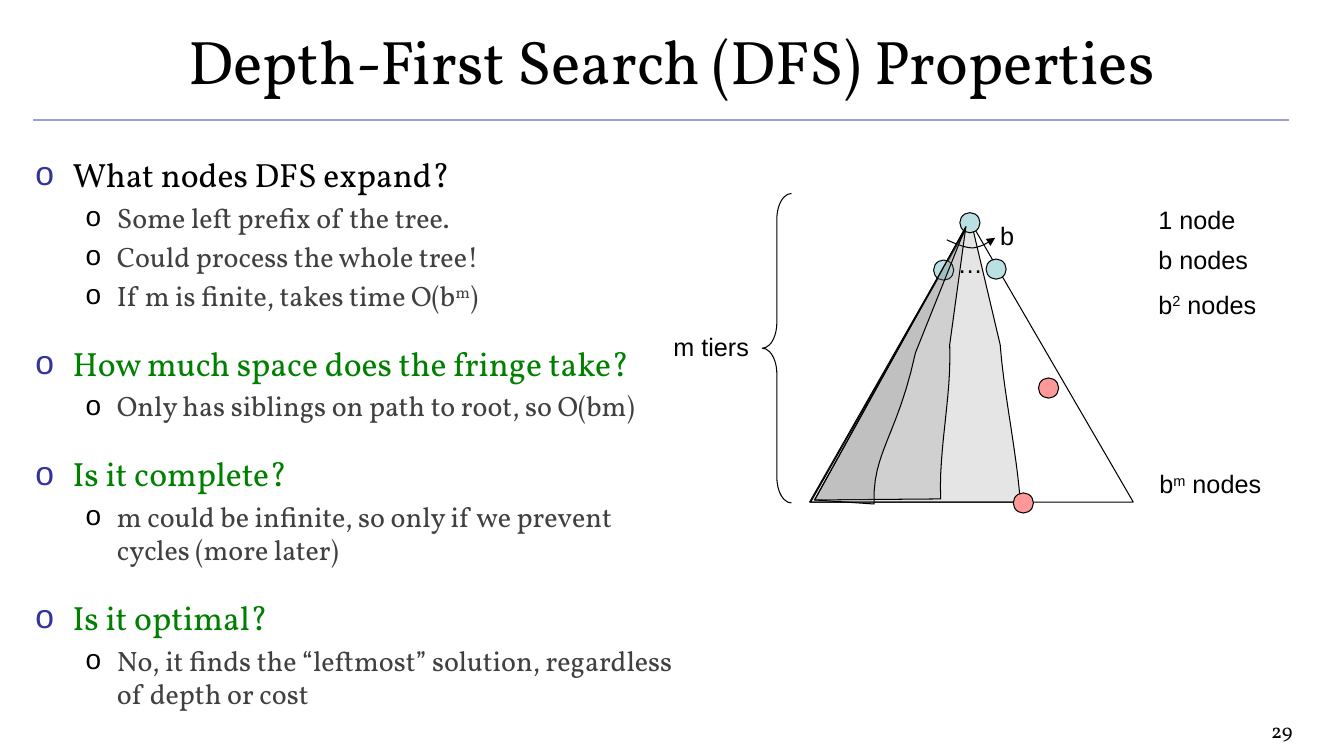
from pptx import Presentation
from pptx.dml.color import RGBColor
from pptx.enum.shapes import MSO_CONNECTOR as LINK, MSO_SHAPE as SHAPE
from pptx.enum.text import MSO_ANCHOR as ANCHOR, PP_ALIGN as ALIGN
from pptx.oxml.ns import qn
from pptx.util import Pt
from lxml.etree import SubElement as Sub

PX = 9144  # one hundredth of an inch
BLACK = RGBColor(0x00, 0x00, 0x00)
DARK = RGBColor(0x40, 0x40, 0x40)
GRAY = RGBColor(0x80, 0x80, 0x80)
GREEN = RGBColor(0x00, 0x80, 0x00)
NAVY = RGBColor(0x33, 0x33, 0x99)
LILAC = RGBColor(0x9C, 0x9C, 0xDF)
AQUA = RGBColor(0xBB, 0xE0, 0xE3)
PINK = RGBColor(0xFF, 0x99, 0x99)
SERIF, SANS = "Vollkorn", "Arial"

deck = Presentation()
deck.slide_width, deck.slide_height = 1333 * PX, 750 * PX
slide = deck.slides.add_slide(deck.slide_layouts[6])
shapes = slide.shapes


def write(para, text, size, face, color):
    """Fill a paragraph; text between ^ marks is superscript."""
    for i, part in enumerate(text.split("^")):
        run = para.add_run()
        run.text = part
        run.font.size, run.font.name = Pt(size), face
        run.font.color.rgb = color
        if i % 2:
            run._r.get_or_add_rPr().set("baseline", "30000")


def draw(start, steps, shade=False, close=True):
    """Draw an outline; a step of 2 numbers is a line, of 6 a Bézier curve."""
    dots = [start]
    for step in steps:
        if len(step) == 2:
            dots.append(step)
            continue
        ends = [dots[-1], step[:2], step[2:4], step[4:]]
        for n in range(1, 13):
            t = n / 12
            mix = ((1 - t) ** 3, 3 * t * (1 - t) ** 2, 3 * t * t * (1 - t), t ** 3)
            dots.append(tuple(sum(m * p[k] for m, p in zip(mix, ends)) for k in (0, 1)))
    dots = [(round(x * PX), round(y * PX)) for x, y in dots]
    pen = shapes.build_freeform(*dots[0], scale=1.0)
    pen.add_line_segments(dots[1:], close=close)
    form = pen.convert_to_shape()
    form.shadow.inherit = False
    form.line.color.rgb, form.line.width = BLACK, Pt(0.75)
    if shade:
        form.fill.solid()
        form.fill.fore_color.rgb = GRAY
        tint = form._element.spPr.find(qn("a:solidFill"))[0]
        Sub(tint, qn("a:alpha")).set("val", "20000")
    else:
        form.fill.background()
    return form


# Title rule
rule = shapes.add_connector(LINK.STRAIGHT, 33 * PX, 119 * PX, 1278 * PX, 119 * PX)
rule.line.color.rgb, rule.line.width = LILAC, Pt(1)
Sub(rule._element.spPr, qn("a:effectLst"))

# Search tree
draw((804, 498), [(1012, 498), (1008, 446, 996, 393, 992, 342), (963, 219)], shade=True)
draw((803, 498), [(1124, 498), (962, 219)])
nodes = [(952, 211, AQUA), (926, 258, AQUA), (978, 257, AQUA),
         (1005, 489, PINK), (1030, 375, PINK)]
for x, y, color in nodes:
    node = shapes.add_shape(SHAPE.OVAL, x * PX, y * PX, 20 * PX, 20 * PX)
    node.shadow.inherit = False
    node.fill.solid()
    node.fill.fore_color.rgb = color
    node.line.color.rgb, node.line.width = BLACK, Pt(0.75)
arc = draw((939, 238), [(948, 242, 957, 246, 965, 246), (973, 245, 980, 241, 987, 236)],
           close=False)
Sub(arc.line._get_or_add_ln(), qn("a:tailEnd")).set("type", "triangle")
draw((808, 496), [(933, 495), (931, 444, 944, 393, 942, 342), (958, 225)], shade=True)
draw((808, 496), [(867, 500), (865, 449, 890, 433, 908, 350), (958, 225)], shade=True)

brace = shapes.add_shape(SHAPE.LEFT_BRACE, 756 * PX, 192 * PX, 29 * PX, 307 * PX)
brace.shadow.inherit = False
brace.adjustments[0], brace.adjustments[1] = 0.88, 0.5
brace.fill.background()
brace.line.color.rgb, brace.line.width = BLACK, Pt(0.75)

# Title, labels and page number
labels = [
    (0, -3, 1333, 125, "Depth-First Search (DFS) Properties", 44, SERIF, ALIGN.CENTER),
    (940, 241, 30, 40, "…", 18, SANS, ALIGN.LEFT),
    (982, 214, 33, 40, "b", 18, SANS, ALIGN.LEFT),
    (1139, 198, 122, 40, "1 node", 18, SANS, ALIGN.LEFT),
    (1139, 237, 122, 40, "b nodes", 18, SANS, ALIGN.LEFT),
    (1139, 282, 122, 40, "b^2^ nodes", 18, SANS, ALIGN.LEFT),
    (1140, 460, 160, 40, "b^m^ nodes", 18, SANS, ALIGN.LEFT),
    (658, 324, 138, 40, "m tiers", 18, SANS, ALIGN.LEFT),
    (1056, 707, 236, 32, "29", 14.7, SERIF, ALIGN.RIGHT),
]
for x, y, w, h, text, size, face, align in labels:
    frame = shapes.add_textbox(x * PX, y * PX, w * PX, h * PX).text_frame
    frame.word_wrap = True
    frame.vertical_anchor = ANCHOR.MIDDLE if size == 44 else ANCHOR.TOP
    para = frame.paragraphs[0]
    para.alignment = align
    write(para, text, size, face, BLACK)

# Questions and answers
points = [
    ("What nodes DFS expand?", BLACK,
     ["Some left prefix of the tree.", "Could process the whole tree!",
      "If m is finite, takes time O(b^m^)"]),
    ("How much space does the fringe take?", GREEN,
     ["Only has siblings on path to root, so O(bm)"]),
    ("Is it complete?", GREEN,
     ["m could be infinite, so only if we prevent cycles (more later)"]),
    ("Is it optimal?", GREEN,
     ["No, it finds the “leftmost” solution, regardless of depth or cost"]),
]
rows = []
for head, color, answers in points:
    rows.append((head, 24, color, NAVY, 0, 37, 37, 22 if rows else 0))
    rows += [(line, 20, DARK, BLACK, 1, 81, 31, 4) for line in answers]

frame = shapes.add_textbox(28 * PX, 149 * PX, 652 * PX, 517 * PX).text_frame
frame.word_wrap = True
frame.margin_left = frame.margin_right = 7 * PX
frame.margin_top = frame.margin_bottom = 4 * PX
for i, (text, size, color, mark, level, left, hang, gap) in enumerate(rows):
    para = frame.add_paragraph() if i else frame.paragraphs[0]
    para.level = level
    para.space_before = Pt(gap)
    props = para._p.get_or_add_pPr()
    props.set("marL", str(left * PX))
    props.set("indent", str(-hang * PX))
    Sub(Sub(props, qn("a:buClr")), qn("a:srgbClr")).set("val", str(mark))
    Sub(props, qn("a:buFont")).set("typeface", SANS)
    Sub(props, qn("a:buChar")).set("char", "o")
    write(para, text, size, SERIF, color)

deck.save("out.pptx")
